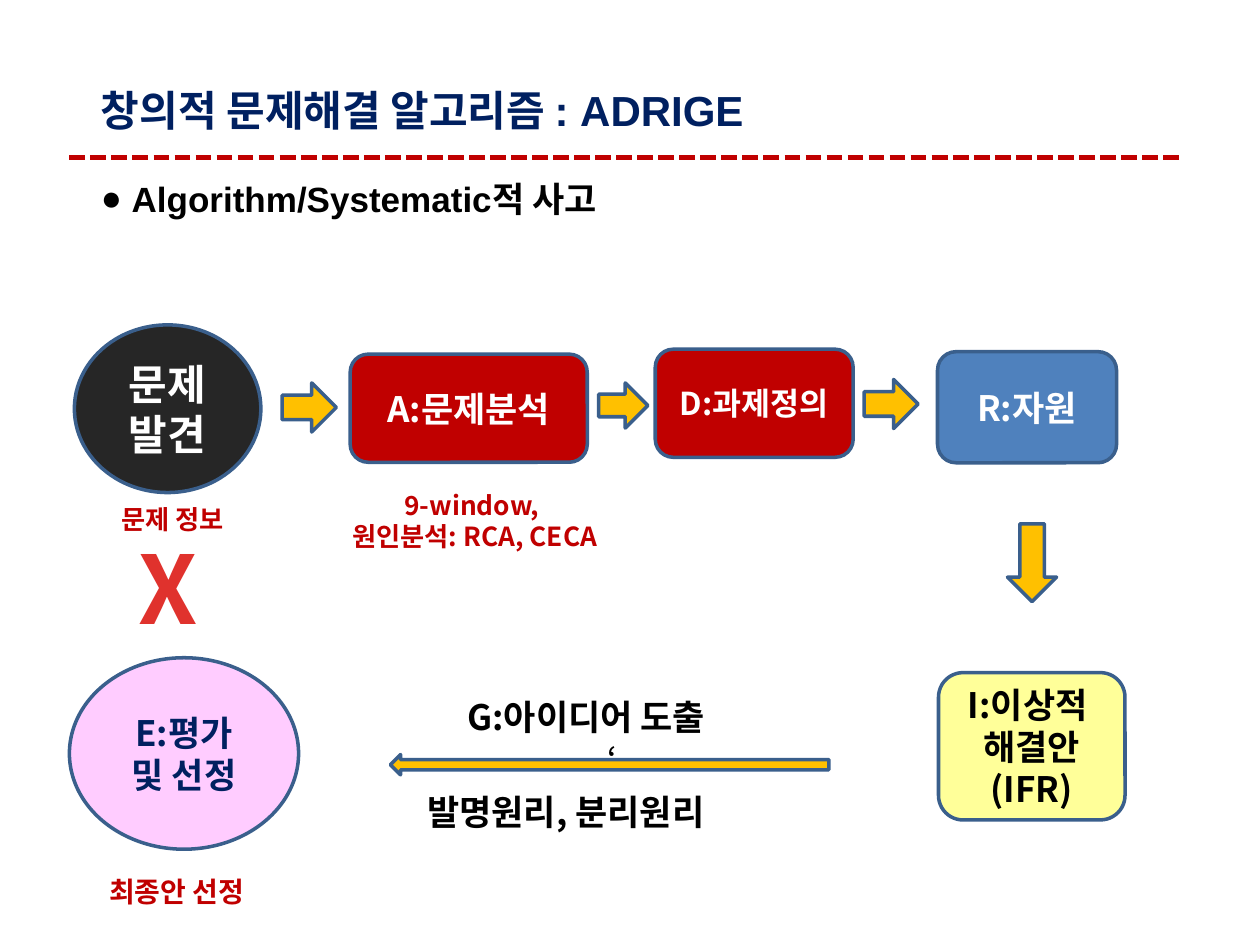
from dataclasses import dataclass

from lxml.etree import SubElement
from pptx import Presentation
from pptx.dml.color import RGBColor
from pptx.enum.dml import MSO_LINE
from pptx.enum.shapes import MSO_CONNECTOR, MSO_SHAPE as SHAPE
from pptx.enum.text import MSO_ANCHOR as ANCHOR, MSO_AUTO_SIZE as FIT, PP_ALIGN as ALIGN
from pptx.oxml.ns import qn
from pptx.util import Cm, Pt


@dataclass(frozen=True)
class Theme:
    latin: str = "Arial"
    korean: str = "Noto Sans CJK KR"
    navy: str = "002060"
    red: str = "C00000"
    bright_red: str = "E0322D"
    blue: str = "4F81BD"
    outline: str = "3A5F8C"
    amber: str = "FFC000"
    yellow: str = "FFFF99"
    pink: str = "FFCCFF"
    charcoal: str = "262626"
    black: str = "000000"
    white: str = "FFFFFF"
    title: int = 24
    body: int = 20
    small: int = 18
    result: int = 16
    note: int = 15
    mark: int = 54


def rgb(code):
    return RGBColor.from_string(code)


def write(tf, text, size, color, font, bold=True, align=ALIGN.LEFT,
          anchor=ANCHOR.TOP, wrap=True):
    """Fill a text frame, one paragraph for each line of text."""
    tf.auto_size = FIT.NONE
    tf.word_wrap = wrap
    tf.vertical_anchor = anchor
    for i, line in enumerate(text.split("\n")):
        p = tf.add_paragraph() if i else tf.paragraphs[0]
        p.alignment = align
        p.space_before = Pt(0)
        r = p.add_run()
        r.text = line
        r.font.name, r.font.size, r.font.bold = font, Pt(size), bold
        r.font.color.rgb = rgb(color)
        SubElement(r._r.get_or_add_rPr(), qn("a:ea"), typeface=Theme.korean)


class Deck:
    """Holds the theme and the slide being drawn; boxes are (x, y, w, h) in cm."""

    def __init__(self, theme):
        self.theme = theme
        self.prs = Presentation()
        self.prs.slide_width, self.prs.slide_height = Cm(25.4), Cm(19.05)
        self.slide = self.prs.slides.add_slide(self.prs.slide_layouts[1])

    def placeholder(self, index, box, text, size, color):
        sp = self.slide.placeholders[index]
        sp.left, sp.top, sp.width, sp.height = map(Cm, box)
        write(sp.text_frame, text, size, color, self.theme.latin)
        return sp

    def title(self, box, text):
        self.placeholder(0, box, text, self.theme.title, self.theme.navy)

    def bullet(self, box, text):
        sp = self.placeholder(1, box, text, self.theme.body, self.theme.black)
        pPr = sp.text_frame.paragraphs[0]._p.get_or_add_pPr()
        pPr.set("marL", str(Cm(0.62)))
        pPr.set("indent", str(-Cm(0.62)))
        SubElement(pPr, qn("a:buChar"), char="●")

    def rule(self, x1, x2, y):
        line = self.slide.shapes.add_connector(
            MSO_CONNECTOR.STRAIGHT, Cm(x1), Cm(y), Cm(x2), Cm(y))
        line.line.color.rgb = rgb(self.theme.red)
        line.line.width = Pt(3)
        line.line.dash_style = MSO_LINE.SQUARE_DOT
        SubElement(line._element.spPr, qn("a:effectLst"))

    def shape(self, kind, box, fill, text="", size=Theme.body,
              color=Theme.white, bold=True, rotation=0):
        sp = self.slide.shapes.add_shape(kind, *map(Cm, box))
        sp.shadow.inherit = False
        sp.rotation = rotation
        sp.fill.solid()
        sp.fill.fore_color.rgb = rgb(fill)
        sp.line.color.rgb = rgb(self.theme.outline)
        sp.line.width = Pt(2)
        if text:
            write(sp.text_frame, text, size, color, self.theme.korean, bold=bold,
                  align=ALIGN.CENTER, anchor=ANCHOR.MIDDLE)

    def arrow(self, box, **options):
        self.shape(SHAPE.RIGHT_ARROW, box, self.theme.amber, **options)

    def label(self, box, text, size, color, align=ALIGN.CENTER):
        tb = self.slide.shapes.add_textbox(*map(Cm, box))
        write(tb.text_frame, text, size, color, self.theme.korean,
              align=align, wrap=align == ALIGN.LEFT)


def main():
    t = Theme()
    deck = Deck(t)
    deck.rule(1.4, 23.83, 3.18)
    deck.title((1.78, 1.57, 14.81, 1.27), "창의적 문제해결 알고리즘 : ADRIGE")
    deck.bullet((1.78, 3.45, 11.48, 1.12), "Algorithm/Systematic적 사고")

    steps = [
        (SHAPE.OVAL, (1.5, 6.55, 3.76, 3.38), t.charcoal, "문제발견", t.title, t.white),
        (SHAPE.ROUNDED_RECTANGLE, (7.06, 7.14, 4.78, 2.18), t.red, "A:문제분석", t.body, t.white),
        (SHAPE.ROUNDED_RECTANGLE, (13.21, 7.04, 3.99, 2.18), t.red, "D:과제정의", t.small, t.white),
        (SHAPE.ROUNDED_RECTANGLE, (18.9, 7.09, 3.61, 2.24), t.blue, "R:자원", t.body, t.white),
        (SHAPE.ROUNDED_RECTANGLE, (18.92, 13.56, 3.76, 2.97), t.yellow,
         "I:이상적 \n해결안\n(IFR)", t.body, t.black),
        (SHAPE.OVAL, (1.4, 13.26, 4.62, 3.86), t.pink, "E:평가 및 선정", t.body, t.navy),
    ]
    for step in steps:
        deck.shape(*step)

    for box in [(5.69, 7.72, 1.09, 0.99), (12.07, 7.72, 0.99, 0.91), (17.42, 7.65, 1.09, 0.99)]:
        deck.arrow(box)
    deck.arrow((20.02, 10.85, 1.57, 0.99), rotation=90)
    deck.arrow((7.87, 15.21, 8.84, 0.41), rotation=180,
               text=",", size=t.small, color=t.black, bold=False)

    deck.label((9.17, 13.89, 5.74, 1.12), "G:아이디어 도출", t.body, t.black, ALIGN.LEFT)
    deck.label((8.36, 15.82, 11.13, 1.12), "발명원리, 분리원리", t.body, t.black, ALIGN.LEFT)
    deck.label((6.71, 9.73, 5.72, 1.55), "9-window, \n원인분석: RCA, CECA", t.note, t.red)
    deck.label((2.06, 10.03, 2.84, 0.89), "문제 정보", t.note, t.red)
    deck.label((1.78, 17.5, 3.56, 0.94), "최종안 선정", t.result, t.red)
    deck.label((2.49, 10.57, 1.78, 2.57), "X", t.mark, t.bright_red)
    deck.prs.save("out.pptx")


if __name__ == "__main__":
    main()
